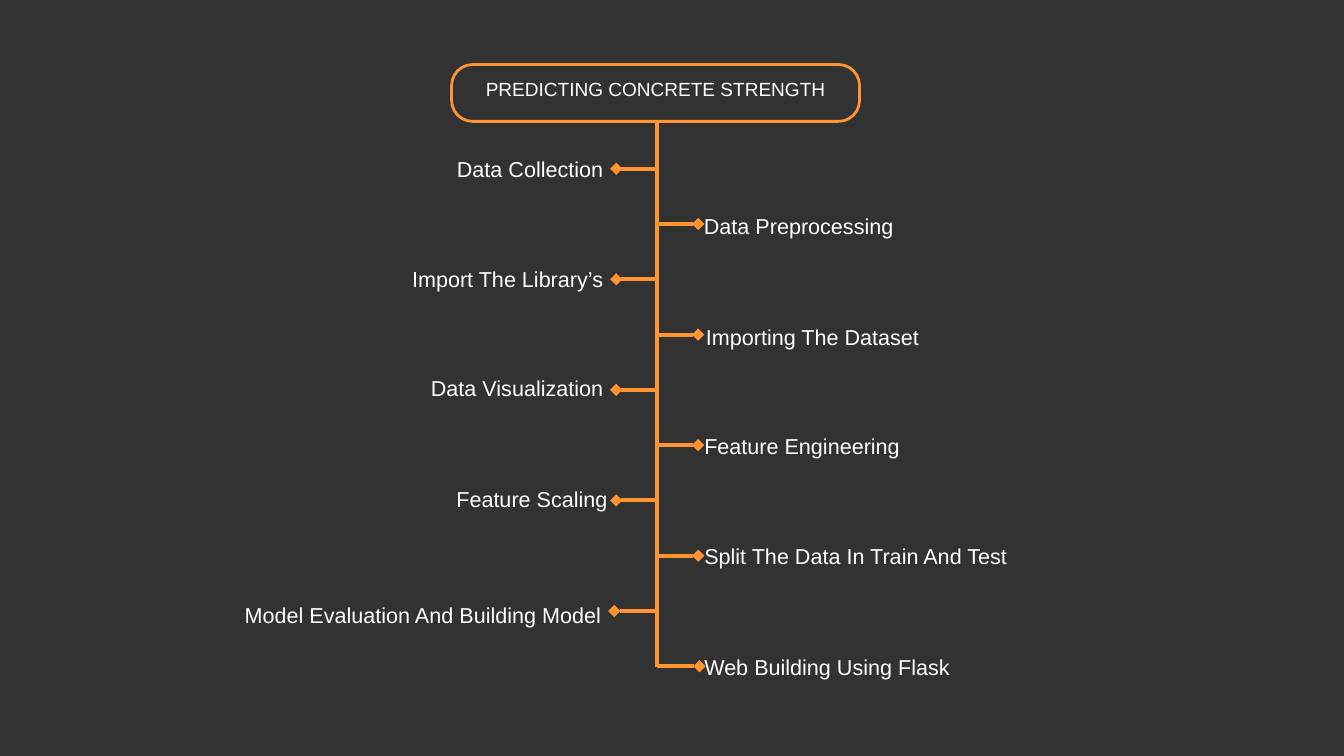
from lxml import etree
from pptx import Presentation
from pptx.dml.color import RGBColor
from pptx.enum.shapes import MSO_CONNECTOR, MSO_SHAPE
from pptx.enum.text import MSO_ANCHOR, PP_ALIGN
from pptx.oxml.ns import qn
from pptx.util import Cm, Pt

LEFT, CENTER, RIGHT = PP_ALIGN.LEFT, PP_ALIGN.CENTER, PP_ALIGN.RIGHT
TOP, MIDDLE = MSO_ANCHOR.TOP, MSO_ANCHOR.MIDDLE
STRAIGHT = MSO_CONNECTOR.STRAIGHT
ROUNDED = MSO_SHAPE.ROUNDED_RECTANGLE
color = RGBColor.from_string
ORANGE, WHITE, DARK = "FF9430", "FFFFFF", "323232"


def add_text(text, left, top, width, height, alignment, size, spacing, anchor, inset):
    box = slide.shapes.add_textbox(Cm(left), Cm(top), Cm(width), Cm(height))
    frame = box.text_frame
    frame_format = {"word_wrap": True, "vertical_anchor": anchor}
    for side in ("left", "top", "right", "bottom"):
        frame_format[f"margin_{side}"] = Cm(inset)
    for name, value in frame_format.items():
        setattr(frame, name, value)
    paragraph = frame.paragraphs[0]
    paragraph.alignment = alignment
    paragraph.line_spacing = Pt(spacing)
    run = paragraph.add_run()
    run.text = text
    for name, value in {"name": "Arial", "size": Pt(size)}.items():
        setattr(run.font, name, value)
    run.font.color.rgb = color(WHITE)


def add_line(x1, y1, x2, y2, diamond):
    connector = slide.shapes.add_connector(STRAIGHT, Cm(x1), Cm(y1), Cm(x2), Cm(y2))
    connector.line.color.rgb = color(ORANGE)
    connector.line.width = Pt(4.36)
    if diamond:
        etree.SubElement(connector.line._get_or_add_ln(), qn("a:headEnd"), type="diamond")
    etree.SubElement(connector._element.spPr, qn("a:effectLst"))


presentation = Presentation()
presentation.slide_width = Cm(50.8)
presentation.slide_height = Cm(28.58)
slide = presentation.slides.add_slide(presentation.slide_layouts[6])
slide.background.fill.solid()
slide.background.fill.fore_color.rgb = color(DARK)

title_left, title_width = 17.07, 15.42
frame_shape = slide.shapes.add_shape(ROUNDED, Cm(title_left), Cm(2.44), Cm(title_width), Cm(2.15))
frame_shape.adjustments[0] = 0.37
frame_shape.shadow.inherit = False
frame_shape.fill.background()
frame_shape.line.color.rgb = color(ORANGE)
frame_shape.line.width = Pt(3)
add_text("PREDICTING CONCRETE STRENGTH", title_left, 2.01, title_width, 2.56,
         CENTER, 20.4, 28.6, MIDDLE, 0.15)

trunk_x, first_y, step_gap = 24.82, 6.38, 2.09
steps = [
    ("Data Collection", 15.09, 5.72, 7.72, RIGHT, 23.29),
    ("Data Preprocessing", 26.06, 7.9, 7.72, RIGHT, 26.39),
    ("Import The Library’s", 15.09, 9.88, 7.72, RIGHT, 23.29),
    ("Importing The Dataset", 25.1, 12.07, 9.65, RIGHT, 26.39),
    ("Data Visualization", 15.09, 14.02, 7.72, RIGHT, 23.29),
    ("Feature Engineering", 26.62, 16.21, 7.72, LEFT, 26.39),
    ("Feature Scaling", 17.25, 18.19, 8.43, LEFT, 23.29),
    ("Split The Data In Train And Test", 26.62, 20.37, 12.57, LEFT, 26.39),
    ("Model Evaluation And Building Model", 9.25, 22.58, 14, LEFT, 23.22),
    ("Web Building Using Flask", 26.62, 24.54, 10.72, LEFT, 26.44),
]
for text, left, top, width, alignment, tip_x in steps:
    add_text(text, left, top, width, 1.12, alignment, 23.1, 32.4, TOP, 0)

add_line(trunk_x, 25.22, trunk_x, 4.57, False)
for index, step in enumerate(steps):
    y = first_y + index * step_gap
    add_line(step[-1], y, trunk_x, y, True)

presentation.save("out.pptx")
